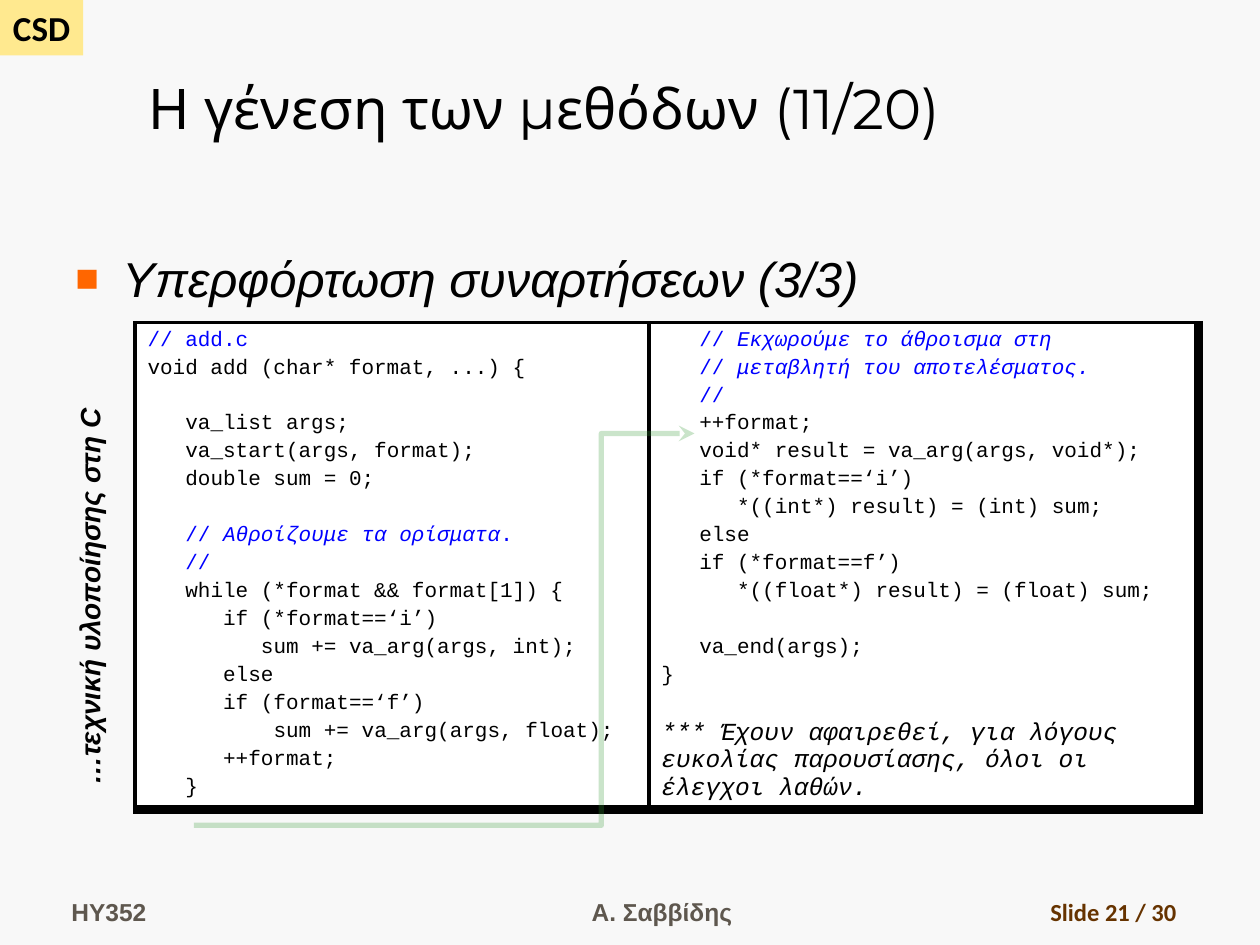
from lxml import etree
from pptx import Presentation
from pptx.dml.color import RGBColor
from pptx.enum.shapes import MSO_CONNECTOR, MSO_SHAPE
from pptx.enum.text import MSO_ANCHOR, MSO_AUTO_SIZE, PP_ALIGN
from pptx.oxml import parse_xml
from pptx.oxml.ns import nsdecls, qn
from pptx.util import Cm, Pt

LEFT, CENTER, RIGHT = PP_ALIGN.LEFT, PP_ALIGN.CENTER, PP_ALIGN.RIGHT
TOP, BOTTOM = MSO_ANCHOR.TOP, MSO_ANCHOR.BOTTOM
COLORS = {"page": "F8F8F8", "badge": "FFE98F", "black": "000000",
          "white": "FFFFFF", "footer": "5E574E", "number": "663300",
          "comment": "0000FF", "bullet": "FF6600", "arrow": "339933"}


def add_span(para, text, color="black", **formats):
    span = para.add_run()
    span.text = text
    span.font.color.rgb = RGBColor.from_string(COLORS[color])
    for name, value in formats.items():
        setattr(span.font, name, value)


def write_box(box, text, align=LEFT, anchor=TOP, wrap=True, **formats):
    frame = box.text_frame
    frame.auto_size = MSO_AUTO_SIZE.NONE
    frame.word_wrap = wrap
    frame.vertical_anchor = anchor
    para = frame.paragraphs[0]
    para.alignment = align
    add_span(para, text, **formats)
    return para


deck = Presentation()
deck.slide_width, deck.slide_height = Cm(25.4), Cm(19.05)
page = deck.slides.add_slide(deck.slide_layouts[5])
page.background.fill.solid()
page.background.fill.fore_color.rgb = RGBColor.from_string(COLORS["page"])

# Corner badge
badge = page.shapes.add_shape(MSO_SHAPE.RECTANGLE, 0, 0, Cm(1.68), Cm(1.12))
badge.shadow.inherit = False
badge.fill.solid()
badge.fill.fore_color.rgb = RGBColor.from_string(COLORS["badge"])
badge.line.fill.background()
write_box(badge, "CSD", CENTER, MSO_ANCHOR.MIDDLE, False,
          name="Calibri", size=Pt(20), bold=True)

# Title
title = page.shapes.title
title.left, title.top, title.width, title.height = Cm(2.74), Cm(0.43), Cm(22.66), Cm(2.54)
write_box(title, "Η γένεση των μεθόδων (11/20)", anchor=BOTTOM,
          name="Montserrat", size=Pt(32))

# Bulleted heading
heading = page.shapes.add_textbox(Cm(1.27), Cm(4.88), Cm(23.06), Cm(12.27))
para = write_box(heading, "Υπερφόρτωση συναρτήσεων (3/3)",
                 name="Arial", size=Pt(28), italic=True)
para.space_before = Pt(5.6)
props = para._p.get_or_add_pPr()
props.set("marL", str(Cm(0.95)))
props.set("indent", str(-Cm(0.95)))
for bullet in (f'<a:buClr {nsdecls("a")}><a:srgbClr val="{COLORS["bullet"]}"/></a:buClr>',
               f'<a:buSzPct {nsdecls("a")} val="80000"/>',
               f'<a:buFont {nsdecls("a")} typeface="Arial"/>',
               f'<a:buChar {nsdecls("a")} char="■"/>'):
    props.append(parse_xml(bullet))

# Code listings: indent in characters, blank lines before, spans of (text, style)
STYLES = {"code": {"size": Pt(12)},
          "comment": {"size": Pt(12), "color": "comment"},
          "prose": {"size": Pt(12), "color": "comment", "italic": True},
          "note": {"size": Pt(14), "italic": True}}
LISTINGS = [
    [(0, 0, [("// add.c", "comment")]),
     (0, 0, [("void add (char* format, ...) {", "code")]),
     (3, 1, [("va_list args;", "code")]),
     (3, 0, [("va_start(args, format);", "code")]),
     (3, 0, [("double sum = 0;", "code")]),
     (3, 1, [("// ", "comment"), ("Αθροίζουμε τα ορίσματα", "prose"), (".", "comment")]),
     (3, 0, [("//", "comment")]),
     (3, 0, [("while (*format && format[1]) {", "code")]),
     (6, 0, [("if (*format==‘i’)", "code")]),
     (9, 0, [("sum += va_arg(args, int);", "code")]),
     (6, 0, [("else", "code")]),
     (6, 0, [("if (format==‘f’)", "code")]),
     (10, 0, [("sum += va_arg(args, float);", "code")]),
     (6, 0, [("++format;", "code")]),
     (3, 0, [("}", "code")])],
    [(3, 0, [("// ", "comment"), ("Εκχωρούμε το άθροισμα στη", "prose")]),
     (3, 0, [("// ", "comment"), ("μεταβλητή του αποτελέσματος.", "prose")]),
     (3, 0, [("//", "comment")]),
     (3, 0, [("++format;", "code")]),
     (3, 0, [("void* result = va_arg(args, void*);", "code")]),
     (3, 0, [("if (*format==‘i’)", "code")]),
     (6, 0, [("*((int*) result) = (int) sum;", "code")]),
     (3, 0, [("else", "code")]),
     (3, 0, [("if (*format==f’)", "code")]),
     (6, 0, [("*((float*) result) = (float) sum;", "code")]),
     (3, 1, [("va_end(args);", "code")]),
     (0, 0, [("}", "code")]),
     (0, 1, [("*** Έχουν αφαιρεθεί, για λόγους ευκολίας παρουσίασης, "
              "όλοι οι έλεγχοι λαθών.", "note")])]]
CHARACTER, LINE_PITCH, LINE_GAP = 7.2, 16, 2.4

table = page.shapes.add_table(1, 2, Cm(2.72), Cm(6.5), Cm(21.44), Cm(9.8)).table
table.first_row = table.horz_banding = False
for column, width in enumerate((10.36, 11.08)):
    table.columns[column].width = Cm(width)
    cell = table.cell(0, column)
    cell.fill.solid()
    cell.fill.fore_color.rgb = RGBColor.from_string(COLORS["white"])
    frame = cell.text_frame
    for number, (indent, blanks, spans) in enumerate(LISTINGS[column]):
        para = frame.add_paragraph() if number else frame.paragraphs[0]
        para.space_before = Pt(LINE_GAP + blanks * LINE_PITCH)
        para._p.get_or_add_pPr().set("marL", str(Pt(indent * CHARACTER)))
        for text, style in spans:
            add_span(para, text, name="Courier New", **STYLES[style])
    # Borders come before the fill in the cell properties
    borders = {"lnL": 2.25, "lnR": (2.25, 6)[column], "lnT": 2.25, "lnB": 6}
    for place, (side, weight) in enumerate(borders.items()):
        cell._tc.get_or_add_tcPr().insert(place, parse_xml(
            f'<a:{side} {nsdecls("a")} w="{Pt(weight)}"><a:solidFill>'
            f'<a:srgbClr val="{COLORS["black"]}"/></a:solidFill></a:{side}>'))

# Vertical caption
caption = page.shapes.add_textbox(Cm(-2.26), Cm(11.53), Cm(8.13), Cm(0.94))
caption.rotation = 270
write_box(caption, "…τεχνική υλοποίησης στη C", wrap=False,
          name="Arial", size=Pt(16), bold=True, italic=True)

# Arrow from the first listing to the second
arrow = page.shapes.add_connector(MSO_CONNECTOR.ELBOW, Cm(3.91), Cm(16.64), Cm(14), Cm(8.74))
arrow.line.width = Pt(3)
arrow.line.color.rgb = RGBColor.from_string(COLORS["arrow"])
arrow_props = arrow._element.spPr
color = arrow_props.find(".//" + qn("a:srgbClr"))
etree.SubElement(color, qn("a:alpha"), val="26000")
etree.SubElement(arrow_props.find(qn("a:ln")), qn("a:tailEnd"), type="stealth")
guides = arrow_props.find(".//" + qn("a:avLst"))
etree.SubElement(guides, qn("a:gd"), name="adj1", fmla="val 81400")
etree.SubElement(arrow_props, qn("a:effectLst"))

# Footer
for left, width, text, align, font, color in (
        (1.19, 5.56, "HY352", LEFT, "Arial", "footer"),
        (9.32, 8.05, "Α. Σαββίδης", CENTER, "Arial", "footer"),
        (18.69, 5.28, "Slide 21 / 30", RIGHT, "Calibri", "number")):
    box = page.shapes.add_textbox(Cm(left), Cm(17.53), Cm(width), Cm(1.27))
    write_box(box, text, align, BOTTOM, name=font, size=Pt(14), bold=True, color=color)

deck.save("out.pptx")
